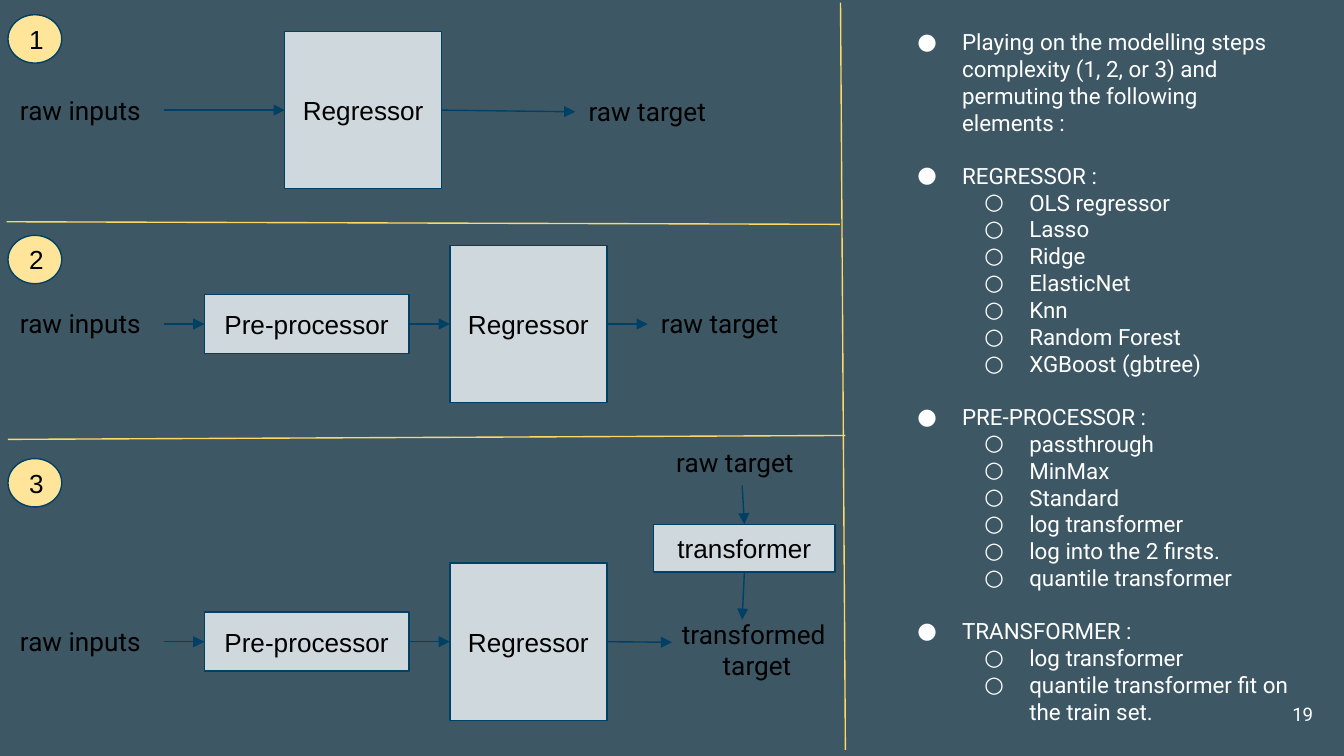
import pptx
import pptx.dml.color
import pptx.enum.shapes
import pptx.enum.text
import pptx.oxml
import pptx.oxml.ns
import pptx.util
from pptx.util import Pt

COLORS = {
    "background": "3D5764",
    "block": "CFD8DC",
    "outline": "004065",
    "divider": "FFD966",
    "badge": "FFE599",
    "black": "000000",
    "white": "FFFFFF",
}
SHAPES = pptx.enum.shapes.MSO_SHAPE
ALIGN = pptx.enum.text.PP_ALIGN
ANCHOR = pptx.enum.text.MSO_ANCHOR
TOP, LEFT, BOTTOM, RIGHT = range(4)

REGRESSOR_SIZE = 84.2
BLOCK_HEIGHT = 31.7
LABEL_HEIGHT = 31.7

ELEMENTS = [
    ("Playing on the modelling steps complexity (1, 2, or 3) and "
     "permuting the following elements :", []),
    ("REGRESSOR :", ["OLS regressor", "Lasso", "Ridge", "ElasticNet", "Knn",
                     "Random Forest", "XGBoost (gbtree)"]),
    ("PRE-PROCESSOR :", ["passthrough", "MinMax", "Standard", "log transformer",
                         "log into the 2 firsts.", "quantile transformer"]),
    ("TRANSFORMER :", ["log transformer",
                       "quantile transformer fit on the train set."]),
]


def rgb(name):
    return pptx.dml.color.RGBColor.from_string(COLORS[name])


def write(paragraph, text, *, size=14, font="Roboto", color="black", align=ALIGN.LEFT):
    run = paragraph.add_run()
    run.text = text
    run.font.size = Pt(size)
    run.font.name = font
    run.font.color.rgb = rgb(color)
    paragraph.alignment = align


def prepare_frame(shape, anchor):
    frame = shape.text_frame
    frame.word_wrap = True
    frame.vertical_anchor = anchor
    frame.margin_left = frame.margin_right = Pt(7.2)
    frame.margin_top = frame.margin_bottom = Pt(7.2)
    return frame


def add_label(slide, box, text, anchor=ANCHOR.TOP, **text_format):
    """Text box with one paragraph for each line of text."""
    textbox = slide.shapes.add_textbox(*map(Pt, box))
    frame = prepare_frame(textbox, anchor)
    for index, line in enumerate(text.split("\n")):
        paragraph = frame.add_paragraph() if index else frame.paragraphs[0]
        write(paragraph, line, **text_format)


def add_block(slide, box, text, preset=SHAPES.RECTANGLE, fill="block", align=ALIGN.CENTER):
    shape = slide.shapes.add_shape(preset, *map(Pt, box))
    shape.shadow.inherit = False
    shape.fill.solid()
    shape.fill.fore_color.rgb = rgb(fill)
    shape.line.color.rgb = rgb("outline")
    shape.line.width = Pt(0.75)
    frame = prepare_frame(shape, ANCHOR.MIDDLE)
    write(frame.paragraphs[0], text, font="Arial", align=align)
    return shape


def add_line(slide, start, end, color):
    connector = slide.shapes.add_connector(
        pptx.enum.shapes.MSO_CONNECTOR.STRAIGHT, *map(Pt, (*start, *end)))
    connector.line.color.rgb = rgb(color)
    connector.line.width = Pt(0.75)
    properties = connector._element.spPr
    properties.append(pptx.oxml.parse_xml(
        f'<a:effectLst {pptx.oxml.ns.nsdecls("a")}/>'))
    return connector


def add_arrow(slide, start, end):
    """Arrow between two ends, each a point (x, y) or a (shape, side) pair."""
    starts_on_shape = hasattr(start[0], "shape_id")
    ends_on_shape = hasattr(end[0], "shape_id")
    connector = add_line(slide, (0, 0) if starts_on_shape else start,
                         (0, 0) if ends_on_shape else end, "outline")
    if starts_on_shape:
        connector.begin_connect(*start)
    if ends_on_shape:
        connector.end_connect(*end)
    connector.line._get_or_add_ln().append(pptx.oxml.parse_xml(
        f'<a:tailEnd {pptx.oxml.ns.nsdecls("a")} type="triangle"/>'))


def add_pipeline(slide, box, number, center, regressor_left, output_end,
                 preprocess=True):
    """Numbered chain from raw inputs through the regressor to output_end."""
    left, top, _, _ = box
    middle = top + center
    add_block(slide, (left + 4.3, top + 7.9, 28.8, 25.9), number,
              SHAPES.OVAL, "badge", ALIGN.LEFT)
    add_label(slide, (left + 3.6, middle - LABEL_HEIGHT / 2, 97, LABEL_HEIGHT),
              "raw inputs")
    regressor = add_block(
        slide, (left + regressor_left, middle - REGRESSOR_SIZE / 2,
                REGRESSOR_SIZE, REGRESSOR_SIZE),
        "Regressor", SHAPES.FLOWCHART_PROCESS)
    source = (left + 87.6, middle)
    if preprocess:
        processor = add_block(
            slide, (left + 109.5, middle - BLOCK_HEIGHT / 2, 109.6, BLOCK_HEIGHT),
            "Pre-processor")
        add_arrow(slide, source, (processor, LEFT))
        source = (processor, RIGHT)
    add_arrow(slide, source, (regressor, LEFT))
    add_arrow(slide, (regressor, RIGHT), (left + output_end[0], top + output_end[1]))


def add_target_branch(slide, box):
    """Raw target turned into the transformed target, from top to bottom."""
    left, top, width, _ = box
    add_label(slide, (left + 5, top, 84.2, LABEL_HEIGHT), "raw target")
    transformer = add_block(slide, (left, top + 49.1, width, 25.6), "transformer")
    add_arrow(slide, (left + 47.4, top + 28.2), (transformer, TOP))
    add_arrow(slide, (transformer, BOTTOM), (left + 47.4, top + 100.2))
    add_label(slide, (left + 5, top + 92.3, width, 48.2),
              "transformed\n target", align=ALIGN.CENTER)


def add_bullet(paragraph, character, indent):
    properties = paragraph._p.get_or_add_pPr()
    properties.set("marL", str(Pt(indent)))
    properties.set("indent", str(Pt(-24)))
    namespace = pptx.oxml.ns.nsdecls("a")
    for xml in (
        f'<a:buClr {namespace}><a:srgbClr val="{COLORS["white"]}"/></a:buClr>',
        f'<a:buFont {namespace} typeface="Roboto"/>',
        f'<a:buChar {namespace} char="{character}"/>',
    ):
        properties.append(pptx.oxml.parse_xml(xml))


def add_elements_list(slide, box):
    frame = prepare_frame(slide.shapes.add_textbox(*map(Pt, box)), ANCHOR.TOP)
    for index, (heading, items) in enumerate(ELEMENTS):
        paragraph = frame.add_paragraph() if index else frame.paragraphs[0]
        write(paragraph, heading, size=12, color="white")
        if index:
            paragraph.space_before = Pt(14)
        add_bullet(paragraph, "●", 36)
        for item in items:
            paragraph = frame.add_paragraph()
            paragraph.level = 1
            write(paragraph, item, size=12, color="white")
            add_bullet(paragraph, "○", 72)


def main():
    presentation = pptx.Presentation()
    presentation.slide_width, presentation.slide_height = Pt(720), Pt(405)
    slide = presentation.slides.add_slide(presentation.slide_layouts[6])
    slide.background.fill.solid()
    slide.background.fill.fore_color.rgb = rgb("background")

    add_pipeline(slide, (0, 0, 450, 118), "1", 59, 152.5, (308.2, 59.9),
                 preprocess=False)
    add_label(slide, (308.2, 44, 130, LABEL_HEIGHT), "raw target")
    add_pipeline(slide, (0, 118.2, 450, 118), "2", 55.4, 241, (347, 55.4))
    add_label(slide, (347, 157.7, 100, LABEL_HEIGHT), "raw target")
    add_pipeline(slide, (0, 237.8, 450, 167), "3", 106, 241, (360, 106.3))
    add_target_branch(slide, (350.2, 231.8, 97.2, 140.5))

    for start, end in (((3.6, 118.8), (450, 120.2)),
                       ((4.3, 235.4), (452.9, 233.3)),
                       ((450.3, 1.4), (452.9, 401.8))):
        add_line(slide, start, end, "divider")

    add_elements_list(slide, (472.3, 7.9, 226, 392.4))
    add_label(slide, (667.4, 367.2, 43.2, 31), "19", ANCHOR.MIDDLE,
              size=10, color="white", align=ALIGN.RIGHT)
    presentation.save("out.pptx")


if __name__ == "__main__":
    main()
